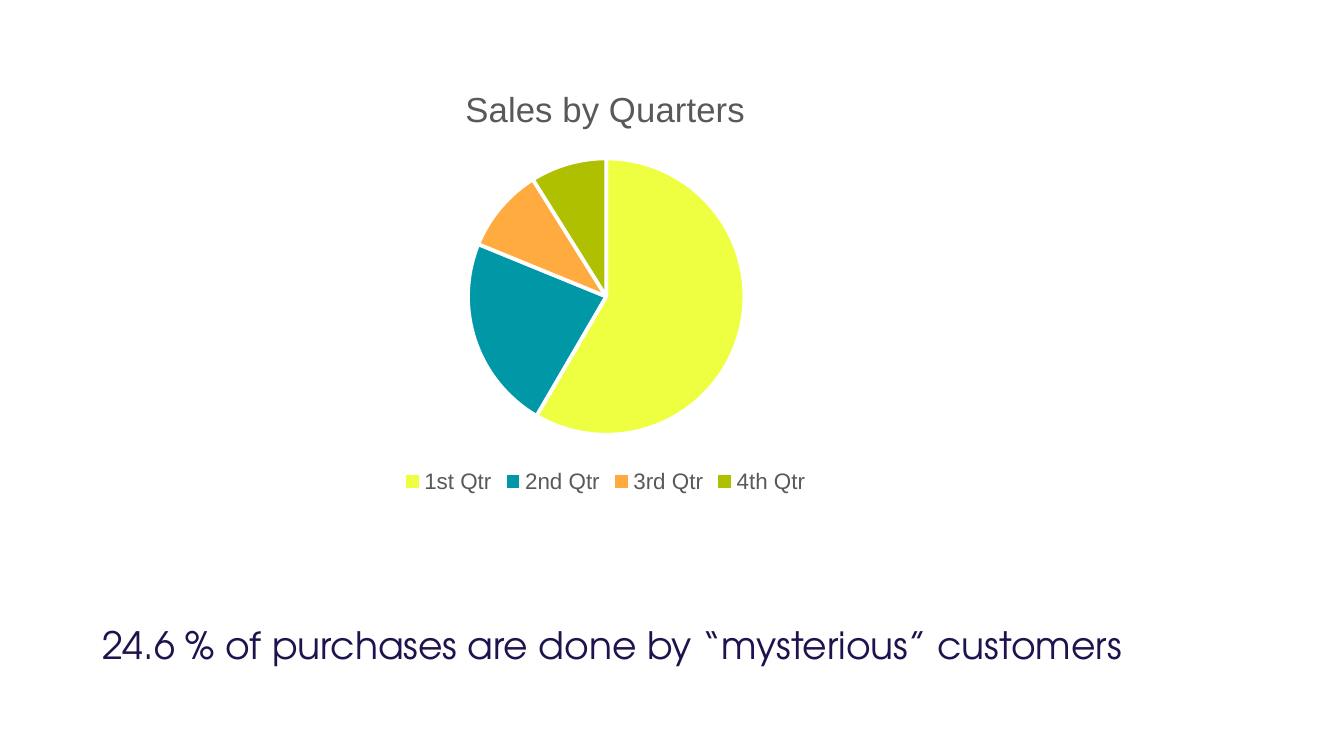
from typing import NamedTuple

from lxml import etree
from pptx import Presentation
from pptx import util as u
from pptx.chart.data import CategoryChartData
from pptx.dml.color import RGBColor
from pptx.enum import chart as ch, text
from pptx.oxml.ns import qn

WIDTH = u.Inches(10)
HEIGHT = u.Emu(WIDTH * 9 // 16)
COLORS = {"navy": "20124D", "grey": "595959", "white": "FFFFFF", "lemon": "EEFF41",
          "teal": "0097A7", "orange": "FFAB40", "olive": "AFC000"}


class Box(NamedTuple):
    """Left, top, width and height as shares of the slide or chart."""
    x: float
    y: float
    w: float
    h: float


class Quarter(NamedTuple):
    label: str
    sales: float
    color: str


QUARTERS = [
    Quarter("1st Qtr", 59, "lemon"),
    Quarter("2nd Qtr", 23, "teal"),
    Quarter("3rd Qtr", 10, "orange"),
    Quarter("4th Qtr", 9, "olive"),
]
HEADLINE_BOX = Box(0.066, 0.805, 0.805, 0.112)
CHART_BOX = Box(0.153, 0.084, 0.595, 0.576)
PIE_BOX = Box(0.328, 0.218, 0.346, 0.635)


def rgb(name: str) -> RGBColor:
    return RGBColor.from_string(COLORS[name])


def on_slide(box: Box) -> list[int]:
    return [round(share * side) for share, side in zip(box, (WIDTH, HEIGHT) * 2)]


def style_font(font, name: str, size: float, color: str) -> None:
    font.name, font.size, font.bold = name, u.Pt(size), False
    font.color.rgb = rgb(color)


def place_pie(chart, box: Box) -> None:
    """Fix the pie's place inside the chart."""
    plot_area = chart.element.find(".//" + qn("c:plotArea"))
    layout = plot_area.find(qn("c:layout"))
    if layout is None:
        layout = etree.Element(qn("c:layout"))
        plot_area.insert(0, layout)
    manual = etree.SubElement(layout, qn("c:manualLayout"))
    settings = {"layoutTarget": "inner", "xMode": "edge", "yMode": "edge", **box._asdict()}
    for tag, value in settings.items():
        etree.SubElement(manual, qn(f"c:{tag}")).set("val", str(value))


def add_sales_pie(slide, quarters: list[Quarter]) -> None:
    sales = CategoryChartData()
    sales.categories = [quarter.label for quarter in quarters]
    sales.add_series("Series 1", [quarter.sales for quarter in quarters])
    chart = slide.shapes.add_chart(ch.XL_CHART_TYPE.PIE, *on_slide(CHART_BOX), sales).chart
    chart.font.name, chart.font.size = "Arial", u.Pt(10)

    chart.has_title = True
    heading = chart.chart_title.text_frame.paragraphs[0]
    heading.text = "Sales by Quarters"
    style_font(heading.runs[0].font, "Arial", 18.6, "grey")

    chart.has_legend = True
    chart.legend.position = ch.XL_LEGEND_POSITION.BOTTOM
    chart.legend.include_in_layout = False
    style_font(chart.legend.font, "Arial", 12, "grey")

    pie = chart.plots[0]
    pie.vary_by_categories = True
    for index, quarter in enumerate(quarters):
        wedge = pie.series[0].points[index].format
        wedge.fill.solid()
        wedge.fill.fore_color.rgb = rgb(quarter.color)
        wedge.line.color.rgb = rgb("white")
        wedge.line.width = u.Pt(2)
    place_pie(chart, PIE_BOX)


def set_headline(slide, wording: str) -> None:
    title = slide.shapes.title
    title.left, title.top, title.width, title.height = on_slide(HEADLINE_BOX)
    frame = title.text_frame
    frame.text = wording
    frame.word_wrap = True
    frame.auto_size = text.MSO_AUTO_SIZE.NONE
    frame.vertical_anchor = text.MSO_ANCHOR.TOP
    frame.margin_left = frame.margin_right = u.Inches(0.1)
    frame.margin_top = frame.margin_bottom = u.Inches(0.1)
    line = frame.paragraphs[0]
    line.alignment = text.PP_ALIGN.LEFT
    style_font(line.runs[0].font, "TeX Gyre Adventor", 20.2, "navy")


def main() -> None:
    deck = Presentation()
    deck.slide_width, deck.slide_height = WIDTH, HEIGHT
    slide = deck.slides.add_slide(deck.slide_layouts[5])
    set_headline(slide, "24.6 % of purchases are done by “mysterious” customers")
    add_sales_pie(slide, QUARTERS)
    deck.save("out.pptx")


if __name__ == "__main__":
    main()
